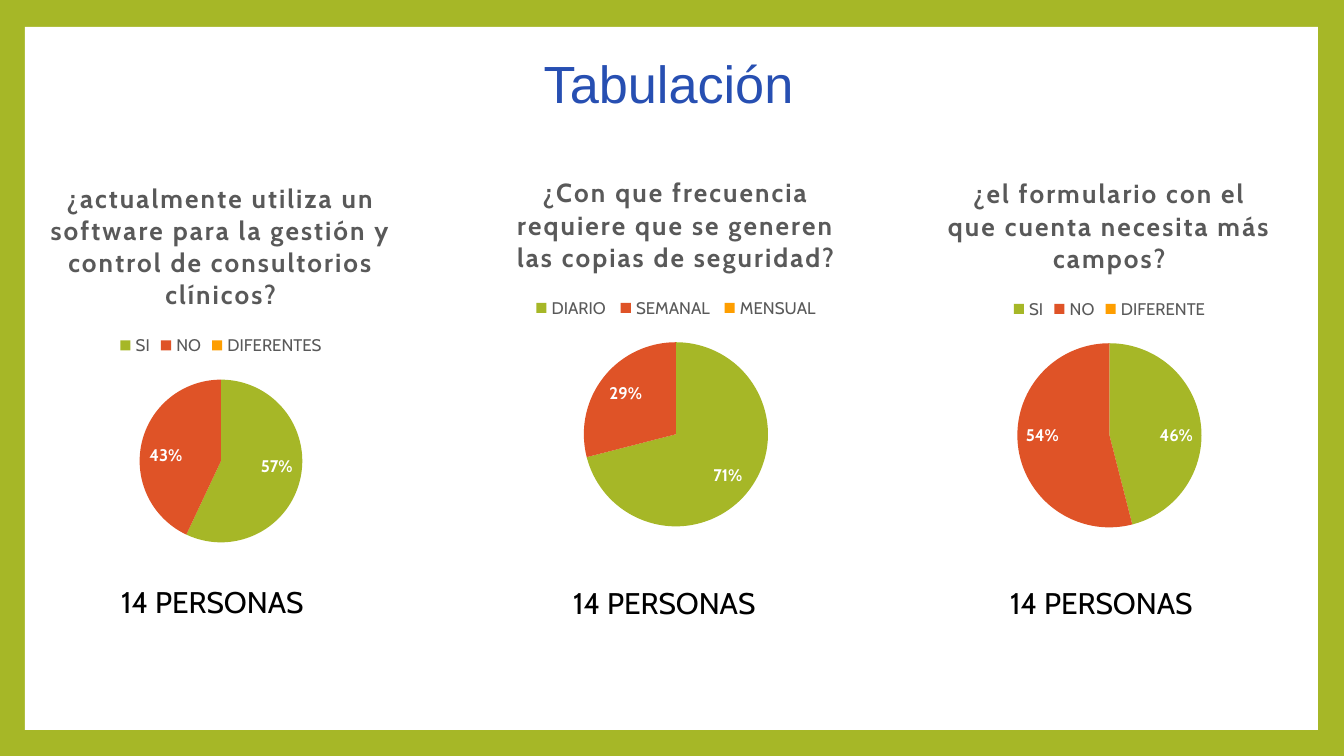
from dataclasses import dataclass

from lxml.etree import SubElement
from pptx import Presentation
from pptx.chart.data import CategoryChartData
from pptx.dml.color import RGBColor
from pptx.enum.chart import XL_CHART_TYPE, XL_LABEL_POSITION, XL_LEGEND_POSITION
from pptx.enum.shapes import MSO_SHAPE
from pptx.enum.text import MSO_ANCHOR, PP_ALIGN
from pptx.oxml import parse_xml
from pptx.oxml.ns import nsdecls
from pptx.util import Pt

EMU_PER_PX = 9144000 / 1344


def px(*lengths):
    return [round(n * EMU_PER_PX) for n in lengths]


@dataclass(frozen=True)
class Theme:
    green: str = "A6B727"
    orange: str = "DF5327"
    amber: str = "FE9E00"
    white: str = "FFFFFF"
    black: str = "000000"
    grey: str = "595959"
    blue: str = "274FB2"
    title_font: str = "Arial"
    body_font: str = "Cabin"
    title_size: int = 28
    count_size: int = 16
    question_size: int = 14
    chart_size: int = 10
    label_size: int = 9


def set_font(font, name, size, color, bold=False):
    font.name, font.size, font.bold = name, Pt(size), bold
    font.color.rgb = RGBColor.from_string(color)


def write(tf, text, align=PP_ALIGN.LEFT, spacing=None, **fmt):
    p = tf.paragraphs[0]
    p.alignment = align
    r = p.add_run()
    r.text = text
    set_font(r.font, **fmt)
    if spacing:
        r.font._element.set("spc", str(spacing))


class SlideBuilder:
    def __init__(self, slide, theme):
        self.s, self.theme = slide, theme

    def background(self, color):
        fill = self.s.background.fill
        fill.solid()
        fill.fore_color.rgb = RGBColor.from_string(color)

    def panel(self, *box):
        sp = self.s.shapes.add_shape(MSO_SHAPE.RECTANGLE, *px(*box))
        sp.shadow.inherit = False
        sp.fill.solid()
        sp.fill.fore_color.rgb = RGBColor.from_string(self.theme.white)
        sp.line.fill.background()
        # Keep the title in front of the panel
        sp.element.addnext(self.s.shapes.title.element)

    def title(self, text, *box):
        t, sp = self.theme, self.s.shapes.title
        sp.left, sp.top, sp.width, sp.height = px(*box)
        sp.text_frame.vertical_anchor = MSO_ANCHOR.MIDDLE
        write(sp.text_frame, text, PP_ALIGN.CENTER,
              name=t.title_font, size=t.title_size, color=t.blue)

    def caption(self, text, *box):
        t = self.theme
        tf = self.s.shapes.add_textbox(*px(*box)).text_frame
        tf.word_wrap = True
        write(tf, text, name=t.body_font, size=t.count_size, color=t.black)

    def pie(self, question, answers, *box):
        t = self.theme
        data = CategoryChartData()
        data.categories = list(answers)
        data.add_series(question, list(answers.values()))
        chart = self.s.shapes.add_chart(XL_CHART_TYPE.PIE, *px(*box), data).chart
        set_font(chart.font, t.body_font, t.chart_size, t.black)

        # Question and legend
        write(chart.chart_title.text_frame, question, PP_ALIGN.CENTER, spacing=100,
              name=t.body_font, size=t.question_size, color=t.grey, bold=True)
        chart.chart_title.include_in_layout = False
        chart.has_legend = True
        chart.legend.position = XL_LEGEND_POSITION.TOP
        chart.legend.include_in_layout = False
        set_font(chart.legend.font, t.body_font, t.label_size, t.grey)

        # Slices
        plot = chart.plots[0]
        plot.vary_by_categories = True
        series = plot.series[0]
        for i, color in enumerate((t.green, t.orange, t.amber)):
            fill = series.points[i].format.fill
            fill.solid()
            fill.fore_color.rgb = RGBColor.from_string(color)

        # Percentages, hidden on empty slices
        labels = series.data_labels
        labels.show_percentage = True
        labels.show_value = False
        labels.number_format, labels.number_format_is_linked = "0%", False
        labels.position = XL_LABEL_POSITION.INSIDE_END
        set_font(labels.font, t.body_font, t.label_size, t.white, bold=True)
        for i, value in reversed(list(enumerate(answers.values()))):
            if not value:
                hidden = parse_xml(f'<c:dLbl {nsdecls("c")}><c:idx val="{i}"/>'
                                   '<c:delete val="1"/></c:dLbl>')
                labels._element.insert(0, hidden)


def main():
    theme = Theme()
    prs = Presentation()
    prs.slide_width, prs.slide_height = px(1344, 756)
    slide = SlideBuilder(prs.slides.add_slide(prs.slide_layouts[5]), theme)

    # Frame and title
    slide.background(theme.green)
    slide.panel(25, 27, 1293, 703)
    slide.title("Tabulación", 200, 44, 937, 77)

    # Survey questions: text, answers, chart box, caption corner
    surveys = [
        ("¿actualmente utiliza un software para la gestión y control de consultorios clínicos?",
         {"SI": 57, "NO": 43, "DIFERENTES": 0}, (-13, 160, 468, 401), (108, 577)),
        ("¿Con que frecuencia requiere que se generen las copias de seguridad?",
         {"DIARIO ": 71, "SEMANAL ": 29, "MENSUAL": 0}, (461, 155, 430, 390), (560, 578)),
        ("¿el formulario con el que cuenta necesita más campos?",
         {"SI": 46, "NO": 54, "DIFERENTE": None}, (899, 156, 421, 390), (997, 578)),
    ]
    for question, answers, box, corner in surveys:
        slide.pie(question, answers, *box)
        slide.caption("14 PERSONAS", *corner, 223, 50)

    prs.save("out.pptx")


if __name__ == "__main__":
    main()
